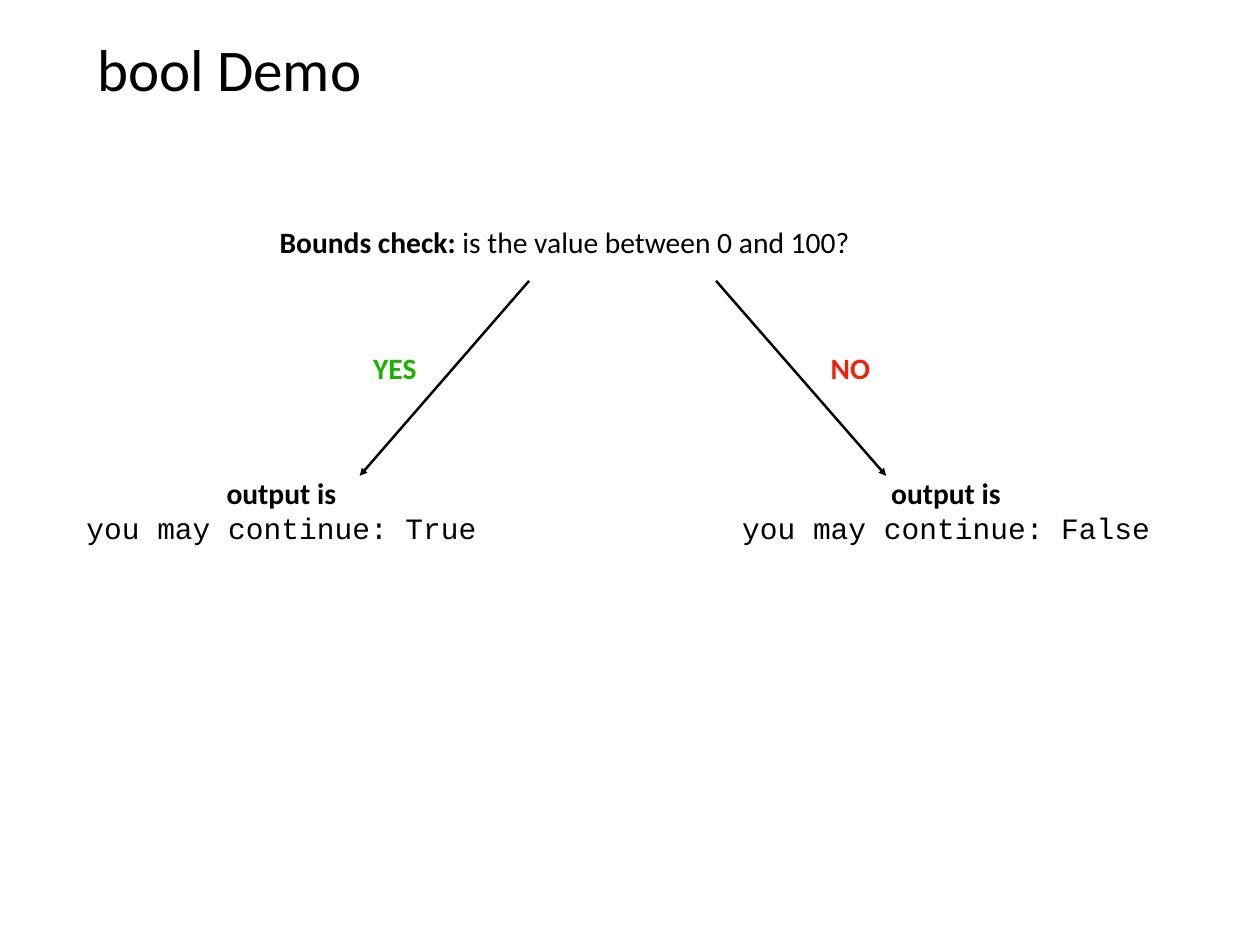
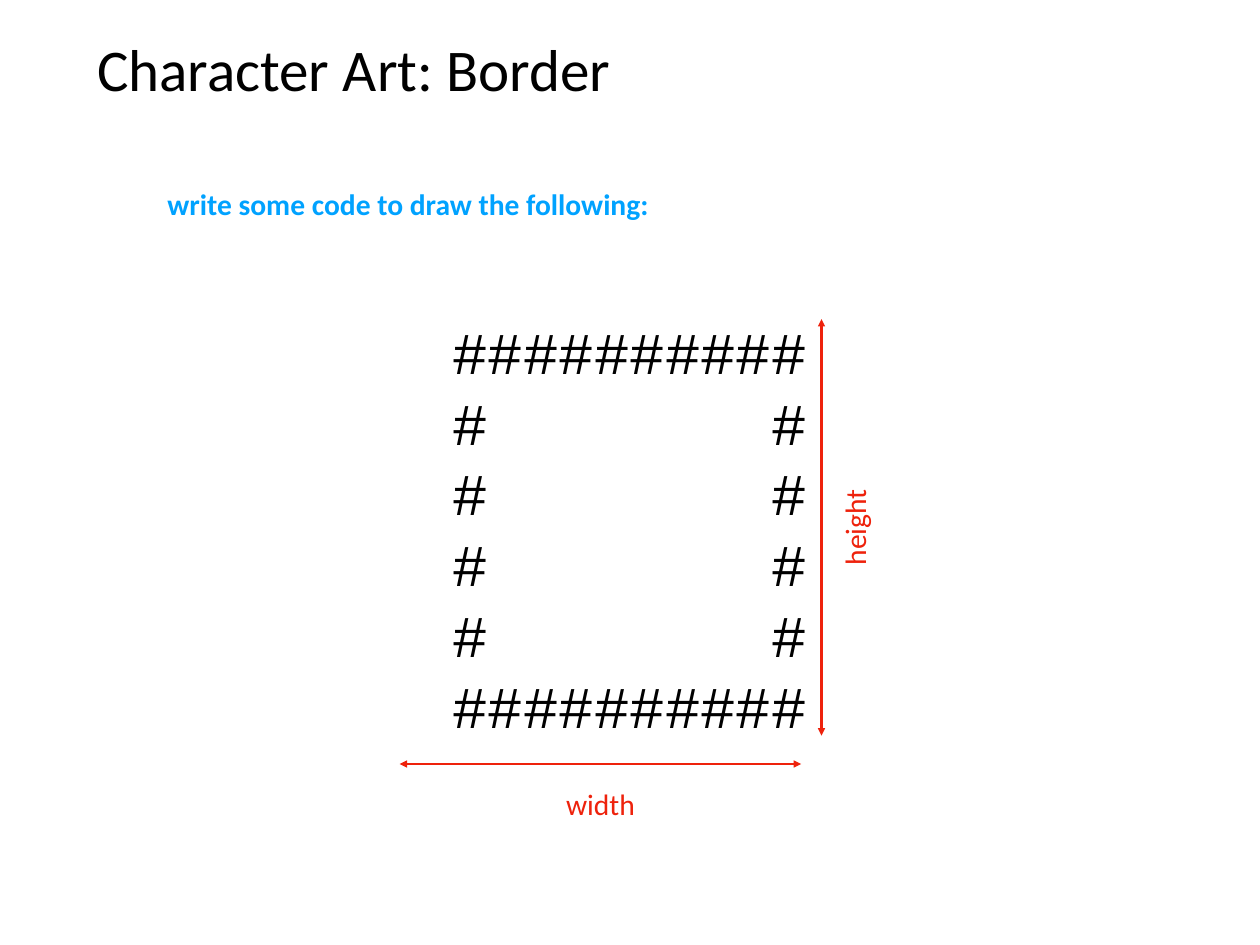
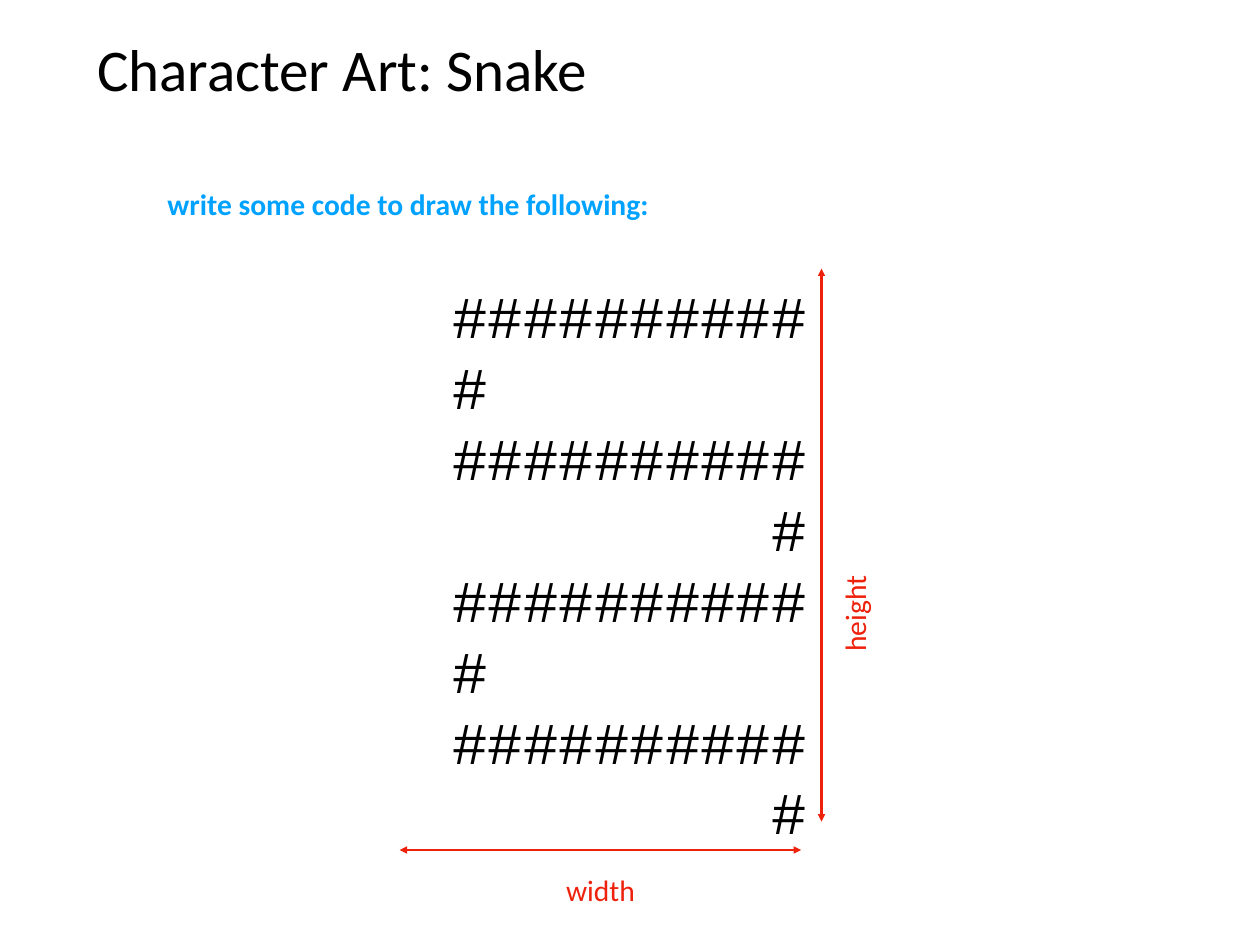
"""Build three programming-lesson slides: a bool decision and two character-art exercises."""

from lxml.etree import SubElement
from pptx import Presentation
from pptx.dml.color import RGBColor
from pptx.enum.shapes import MSO_CONNECTOR
from pptx.enum.text import MSO_ANCHOR as Anchor
from pptx.enum.text import MSO_AUTO_SIZE as AutoSize
from pptx.enum.text import PP_ALIGN as Align
from pptx.oxml.ns import qn
from pptx.util import Pt

COLORS = {
    "text": "000000",
    "yes": "1DB100",
    "no": "EE220C",
    "task": "00A2FF",
    "measure": "EE220C",
}
BODY_FONT = "Calibri"
CODE_FONT = "Courier New"
TITLE_SIZE = 48
BODY_SIZE = 24
ART_SIZE = 48
INSET = 4
BODY_LINE = 28.8
ART_LINE = 57.6
EDGE = "#" * 10
SIDES = "#" + " " * 8 + "#"
LEFT_END = "#"
RIGHT_END = " " * 9 + "#"


def color(name):
    return RGBColor.from_string(COLORS[name])


def add_text(slide, box, lines, size=BODY_SIZE, font_color="text", align=Align.CENTER, wrap=False):
    shape = slide.shapes.add_textbox(*map(Pt, box))
    frame = shape.text_frame
    frame.word_wrap = wrap
    frame.auto_size = AutoSize.NONE if wrap else AutoSize.SHAPE_TO_FIT_TEXT
    frame.vertical_anchor = Anchor.MIDDLE
    frame.margin_left = frame.margin_right = Pt(INSET)
    frame.margin_top = frame.margin_bottom = Pt(INSET)
    frame.text = "\n".join(line[0][0] for line in lines)
    for paragraph, line in zip(frame.paragraphs, lines):
        paragraph.alignment = align
        for text, _, _ in line[1:]:
            paragraph.add_run().text = text
        for run, (_, font_name, bold) in zip(paragraph.runs, line):
            run.font.name = font_name
            run.font.size = Pt(size)
            run.font.bold = bold
            run.font.color.rgb = color(font_color)
    return shape


def add_label(slide, left, top, width, text, font_color, bold=True):
    box = (left, top, width, BODY_LINE + 2 * INSET)
    return add_text(slide, box, [[(text, BODY_FONT, bold)]], font_color=font_color)


def add_arrow(slide, start, end, line_color, double=False):
    connector = slide.shapes.add_connector(MSO_CONNECTOR.STRAIGHT, *map(Pt, start + end))
    connector.line.width = Pt(2)
    connector.line.color.rgb = color(line_color)
    properties = connector.element.spPr
    line = properties.find(qn("a:ln"))
    for tag in ("a:headEnd", "a:tailEnd") if double else ("a:tailEnd",):
        SubElement(line, qn(tag), type="triangle")
    SubElement(properties, qn("a:effectLst"))


def add_titled_slide(presentation, title):
    slide = presentation.slides.add_slide(presentation.slide_layouts[6])
    add_text(slide, (74.9, 19.8, 874, 71.3), [[(title, BODY_FONT, False)]],
             TITLE_SIZE, align=Align.LEFT, wrap=True)
    return slide


def add_outcome(slide, center, width, value):
    lines = [
        [("output is", BODY_FONT, True)],
        [(f"you may continue: {value}", CODE_FONT, False)],
    ]
    add_text(slide, (center - width / 2, 381.6, width, 65.6), lines)


def add_bool_slide(presentation):
    slide = add_titled_slide(presentation, "bool Demo")
    question = [
        ("Bounds check: ", BODY_FONT, True),
        ("is the value between 0 and 100?", BODY_FONT, False),
    ]
    add_text(slide, (223.2, 178, 545, BODY_LINE + 2 * INSET), [question], align=Align.LEFT)
    add_outcome(slide, 228.6, 327, True)
    add_outcome(slide, 768.6, 341, False)
    add_arrow(slide, (581.8, 228.2), (720, 386.6), "text")
    add_arrow(slide, (429.9, 228.2), (292.3, 386.6), "text")
    add_label(slide, 296, 280, 49.7, "YES", "yes")
    add_label(slide, 667.5, 280, 46.8, "NO", "no")


def add_art_slide(presentation, title, rows, art_top, height_span, width_y):
    slide = add_titled_slide(presentation, title)
    add_label(slide, 93.6, 147, 476, "write some code to draw the following:", "task")
    art_box = (363.6, art_top, 298, ART_LINE * len(rows) + 2 * INSET)
    add_text(slide, art_box, [[(row, CODE_FONT, False)] for row in rows],
             ART_SIZE, align=Align.LEFT)
    add_arrow(slide, (324.7, width_y), (650.9, width_y), "measure", double=True)
    height_x = 667.5
    top, bottom = height_span
    add_arrow(slide, (height_x, top), (height_x, bottom), "measure", double=True)
    add_label(slide, 452.2, width_y + 13.8, 71.3, "width", "measure", bold=False)
    height_label = add_label(slide, 653.8, width_y - 210.6, 80.6, "height", "measure", bold=False)
    height_label.rotation = 270


def main():
    presentation = Presentation()
    presentation.slide_width = Pt(1023.75)
    presentation.slide_height = Pt(767.75)
    add_bool_slide(presentation)
    border = [EDGE] + [SIDES] * 4 + [EDGE]
    add_art_slide(presentation, "Character Art: Border", border, 252, (259.2, 597.6), 620.7)
    snake = [EDGE, LEFT_END, EDGE, RIGHT_END] * 2
    add_art_slide(presentation, "Character Art: Snake", snake, 223.2, (218.2, 667.5), 690.6)
    presentation.save("out.pptx")


if __name__ == "__main__":
    main()
